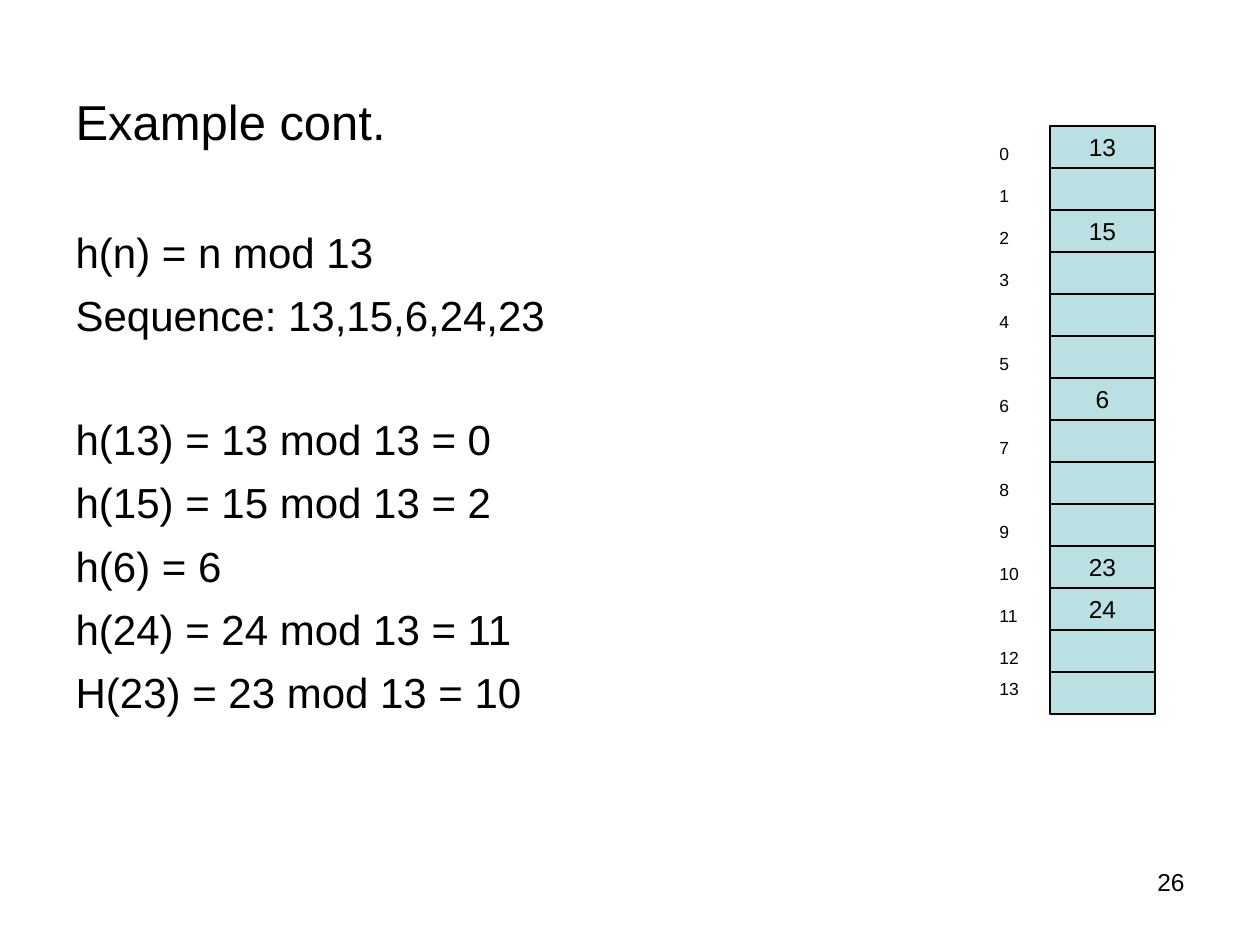
import pptx
import pptx.dml.color
import pptx.enum.shapes
import pptx.enum.text
import pptx.util
from dataclasses import dataclass

Pt = pptx.util.Pt
RGB = pptx.dml.color.RGBColor
ALIGN = pptx.enum.text.PP_ALIGN
ANCHOR = pptx.enum.text.MSO_ANCHOR
AUTO = pptx.enum.text.MSO_AUTO_SIZE


@dataclass(frozen=True)
class Theme:
    font: str = "Arial"
    ink: RGB = RGB(0, 0, 0)
    cell: RGB = RGB(0xBB, 0xE0, 0xE3)
    paper: RGB = RGB(255, 255, 255)
    title: int = 28
    body: int = 24
    value: int = 14
    index: int = 10


theme = Theme()


def place(s, left, top, width, height):
    s.left, s.top, s.width, s.height = Pt(left), Pt(top), Pt(width), Pt(height)


def write(s, text, size, align=ALIGN.LEFT, anchor=ANCHOR.TOP, wrap=True):
    tf = s.text_frame
    tf.text = text
    tf.word_wrap = wrap
    tf.auto_size = AUTO.NONE
    tf.vertical_anchor = anchor
    for p in tf.paragraphs:
        p.alignment = align
        for r in p.runs:
            r.font.name = theme.font
            r.font.size = Pt(size)
            r.font.color.rgb = theme.ink
    return tf


prs = pptx.Presentation()
prs.slide_width, prs.slide_height = Pt(720), Pt(540)
slide = prs.slides.add_slide(prs.slide_layouts[1])
slide.background.fill.solid()
slide.background.fill.fore_color.rgb = theme.paper

# Title
title = slide.shapes.title
place(title, 36, 24, 330, 90)
write(title, "Example cont.", theme.title, anchor=ANCHOR.MIDDLE)

# Hash function and worked steps
steps = [
    "h(n) = n mod 13",
    "Sequence: 13,15,6,24,23",
    "h(13) = 13 mod 13 = 0",
    "h(15) = 15 mod 13 = 2",
    "h(6) = 6",
    "h(24) = 24 mod 13 = 11",
    "H(23) = 23 mod 13 = 10",
]
body = slide.placeholders[1]
place(body, 36, 126, 354, 356)
tf = write(body, "\n".join(steps), theme.body)
for i, p in enumerate(tf.paragraphs):
    pPr = p._p.get_or_add_pPr()
    pPr.set("marL", str(Pt(27)))
    pPr.set("indent", str(-Pt(27)))
    pPr.insert(0, pptx.oxml.parse_xml(
        '<a:buNone xmlns:a="http://schemas.openxmlformats.org/drawingml/2006/main"/>'))
    # The third line opens the group of worked steps
    p.space_before = Pt({0: 0, 2: 42}.get(i, 7.25))

# Hash table: one cell per slot, with its index on the left
slots, cell_height, table_top = 14, 24, 72
stored = {0: 13, 2: 15, 6: 6, 10: 23, 11: 24}
for i in range(slots):
    top = table_top + i * cell_height
    sp = slide.shapes.add_shape(pptx.enum.shapes.MSO_SHAPE.RECTANGLE,
                                Pt(600), Pt(top), Pt(60), Pt(cell_height))
    sp.shadow.inherit = False
    sp.fill.solid()
    sp.fill.fore_color.rgb = theme.cell
    sp.line.color.rgb = theme.ink
    sp.line.width = Pt(0.75)
    if i in stored:
        write(sp, str(stored[i]), theme.value, ALIGN.CENTER, ANCHOR.MIDDLE, wrap=False)

    last = i == slots - 1
    width = 42 if last else 24 if i < 10 else 30
    offset = 0 if last else 6
    s = slide.shapes.add_textbox(Pt(564), Pt(top + offset), Pt(width), Pt(19.5))
    write(s, str(i), theme.index)

# Page number
s = slide.shapes.add_textbox(Pt(516), Pt(492), Pt(168), Pt(37.5))
write(s, "26", theme.value, ALIGN.RIGHT)

prs.save("out.pptx")
